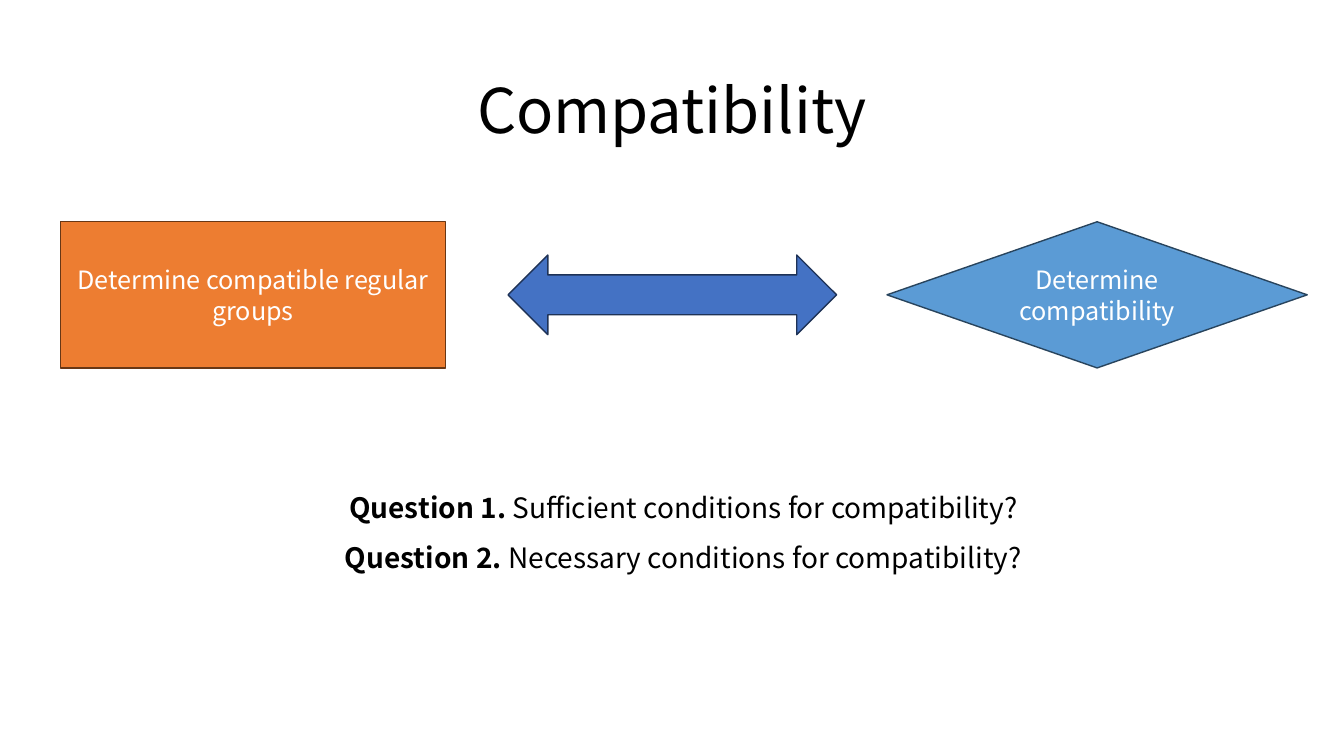
import pptx
import pptx.dml.color
import pptx.enum.shapes
import pptx.enum.text
import pptx.util

Pt = pptx.util.Pt
SHAPE = pptx.enum.shapes.MSO_SHAPE
CENTER = pptx.enum.text.PP_ALIGN.CENTER
MIDDLE = pptx.enum.text.MSO_ANCHOR.MIDDLE

# Content
FONT = "Noto Sans CJK SC"
TITLE = "Compatibility"
# preset, left, width, height, fill, outline, text
STEPS = [
    (SHAPE.RECTANGLE, 43.2, 275, 104.4, "ED7D31", "683715",
     "Determine compatible regular groups"),
    (SHAPE.LEFT_RIGHT_ARROW, 362.9, 234.7, 56.9, "4472C4", "1E3256", ""),
    (SHAPE.FLOWCHART_DECISION, 633.6, 300.2, 104.4, "5B9BD5", "28445D",
     "Determine compatibility"),
]
# label, question, line spacing
QUESTIONS = [
    ("Question 1.", " Sufficient conditions for compatibility?", 2.0),
    ("Question 2. ", "Necessary conditions for compatibility?", 1.5),
]
ROW_MIDDLE = 210.6


def color(hex_code):
    return pptx.dml.color.RGBColor.from_string(hex_code)


def style(paragraph, size, hex_code):
    paragraph.alignment = CENTER
    paragraph.font.name = FONT
    paragraph.font.size = Pt(size)
    paragraph.font.color.rgb = color(hex_code)


deck = pptx.Presentation()
deck.slide_width, deck.slide_height = Pt(960), Pt(540)
slide = deck.slides.add_slide(deck.slide_layouts[5])

# Title
title = slide.shapes.title
title.left, title.top, title.width, title.height = Pt(66), Pt(28.75), Pt(828), Pt(104.4)
title.text_frame.text = TITLE
title.text_frame.vertical_anchor = MIDDLE
heading = title.text_frame.paragraphs[0]
style(heading, 44, "000000")
heading.line_spacing = 0.9

# Row of steps, centred on one line
for preset, left, width, height, fill, outline, text in STEPS:
    step = slide.shapes.add_shape(
        preset, Pt(left), Pt(ROW_MIDDLE - height / 2), Pt(width), Pt(height))
    step.shadow.inherit = False
    step.fill.solid()
    step.fill.fore_color.rgb = color(fill)
    step.line.color.rgb = color(outline)
    step.line.width = Pt(1)
    if text:
        step.text_frame.text = text
        step.text_frame.vertical_anchor = MIDDLE
        style(step.text_frame.paragraphs[0], 18, "FFFFFF")

# Questions
questions = slide.shapes.add_textbox(Pt(43.2), Pt(322.6), Pt(890), Pt(88.6)).text_frame
questions.word_wrap = True
questions.auto_size = pptx.enum.text.MSO_AUTO_SIZE.SHAPE_TO_FIT_TEXT
for index, (label, question, spacing) in enumerate(QUESTIONS):
    line = questions.add_paragraph() if index else questions.paragraphs[0]
    style(line, 20, "000000")
    line.line_spacing = spacing
    for text, bold in ((label, True), (question, False)):
        run = line.add_run()
        run.text = text
        run.font.bold = bold

deck.save("out.pptx")
